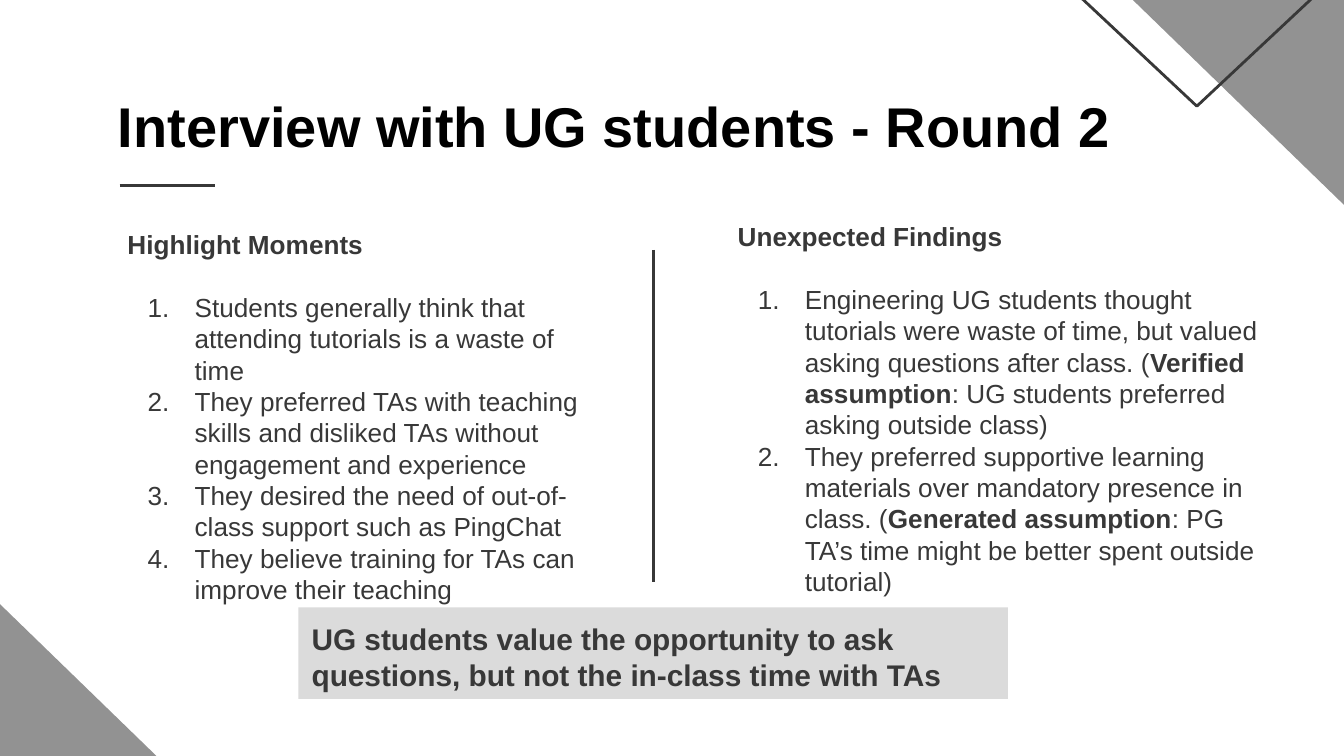
"""Build the slide on the second round of student interviews."""
import pptx
import pptx.util
import pptx.dml.color
import pptx.enum.shapes
import pptx.enum.text
import pptx.oxml.ns
from lxml import etree

Inches = pptx.util.Inches
Pt = pptx.util.Pt
RGBColor = pptx.dml.color.RGBColor
Kind = pptx.enum.shapes.MSO_SHAPE
qn = pptx.oxml.ns.qn

BLACK = RGBColor(0x00, 0x00, 0x00)
DARK = RGBColor(0x38, 0x38, 0x38)
GREY = RGBColor(0x92, 0x92, 0x92)
PALE = RGBColor(0xDB, 0xDB, 0xDB)


def write(para, runs, size=14, color=DARK, bold=False, after=0, number=False):
    para.alignment = pptx.enum.text.PP_ALIGN.LEFT
    para.line_spacing = 1.0
    para.space_after = Pt(after)
    for index, words in enumerate(runs):
        run = para.add_run()
        run.text = words
        font = run.font
        font.name, font.size = "Arial", Pt(size)
        font.bold = bold or index % 2 == 1
        font.color.rgb = color
    if number:
        props = para._p.get_or_add_pPr()
        props.set("marL", str(Inches(0.5)))
        props.set("indent", str(Inches(-0.35)))
        tint = etree.SubElement(props, qn("a:buClr"))
        etree.SubElement(tint, qn("a:srgbClr"), val=str(DARK))
        etree.SubElement(props, qn("a:buAutoNum"), type="arabicPeriod")


class Deck:
    def __init__(self, slide, size=14, weight=1.5):
        self.slide = slide
        self.size = size
        self.weight = weight

    def shape(self, kind, box, fill=None, line=None, turn=0):
        item = self.slide.shapes.add_shape(kind, *map(Inches, box))
        item.shadow.inherit = False
        item.rotation = turn
        if fill is None:
            item.fill.background()
        else:
            item.fill.solid()
            item.fill.fore_color.rgb = fill
        if line is None:
            item.line.fill.background()
        else:
            item.line.color.rgb = line
            item.line.width = Pt(self.weight)
        return item

    def rule(self, *ends):
        line = self.slide.shapes.add_connector(
            pptx.enum.shapes.MSO_CONNECTOR.STRAIGHT, *map(Inches, ends))
        line.line.color.rgb = DARK
        line.line.width = Pt(self.weight)
        etree.SubElement(line._element.spPr, qn("a:effectLst"))

    def frame(self, item):
        frame = item.text_frame
        frame.word_wrap = True
        frame.vertical_anchor = pptx.enum.text.MSO_ANCHOR.TOP
        frame.margin_left = frame.margin_right = Inches(0.1)
        frame.margin_top = frame.margin_bottom = Inches(0.1)
        return frame

    def text(self, box):
        return self.frame(self.slide.shapes.add_textbox(*map(Inches, box)))

    def column(self, box, head, items):
        frame = self.text(box)
        write(frame.paragraphs[0], [head], size=self.size, bold=True,
              after=self.size * 1.2)
        for runs in items:
            write(frame.add_paragraph(), runs, size=self.size, number=True)


def main():
    prs = pptx.Presentation()
    prs.slide_width = Inches(10)
    prs.slide_height = int(prs.slide_width * 9 / 16)
    deck = Deck(prs.slides.add_slide(prs.slide_layouts[6]))

    deck.shape(Kind.RIGHT_TRIANGLE, (-1.84, 2.71, 3.72, 3.61), fill=GREY)
    deck.shape(Kind.RIGHT_TRIANGLE, (7.1, -1.29, 3.72, 3.61), fill=GREY, turn=180)
    deck.shape(Kind.ISOSCELES_TRIANGLE, (5.97, -1.96, 5.87, 2.75), line=DARK, turn=180)

    title = deck.text((0.78, 0.58, 8.43, 0.58))
    write(title.paragraphs[0], ["Interview with UG students - Round 2"],
          size=30, color=BLACK, bold=True)
    deck.rule(0.89, 1.38, 1.6, 1.38)

    deck.column((0.85, 1.6, 3.79, 3.67), "Highlight Moments", [
        ["Students generally think that attending tutorials is a waste of time"],
        ["They preferred TAs with teaching skills and disliked TAs without "
         "engagement and experience"],
        ["They desired the need of out-of-class support such as PingChat"],
        ["They believe training for TAs can improve their teaching"],
    ])
    deck.rule(4.86, 1.86, 4.86, 4.33)
    deck.column((5.39, 1.54, 4.11, 3.67), "Unexpected Findings", [
        ["Engineering UG students thought tutorials were waste of time, but "
         "valued asking questions after class. (", "Verified assumption",
         ": UG students preferred asking outside class)"],
        ["They preferred supportive learning materials over mandatory presence "
         "in class. (", "Generated assumption",
         ": PG TA’s time might be better spent outside tutorial)"],
    ])

    note = deck.frame(deck.shape(Kind.RECTANGLE, (2.22, 4.52, 5.28, 0.68), fill=PALE))
    write(note.paragraphs[0],
          ["UG students value the opportunity to ask questions, but not the "
           "in-class time with TAs"], size=16, bold=True)
    prs.save("out.pptx")


if __name__ == "__main__":
    main()
